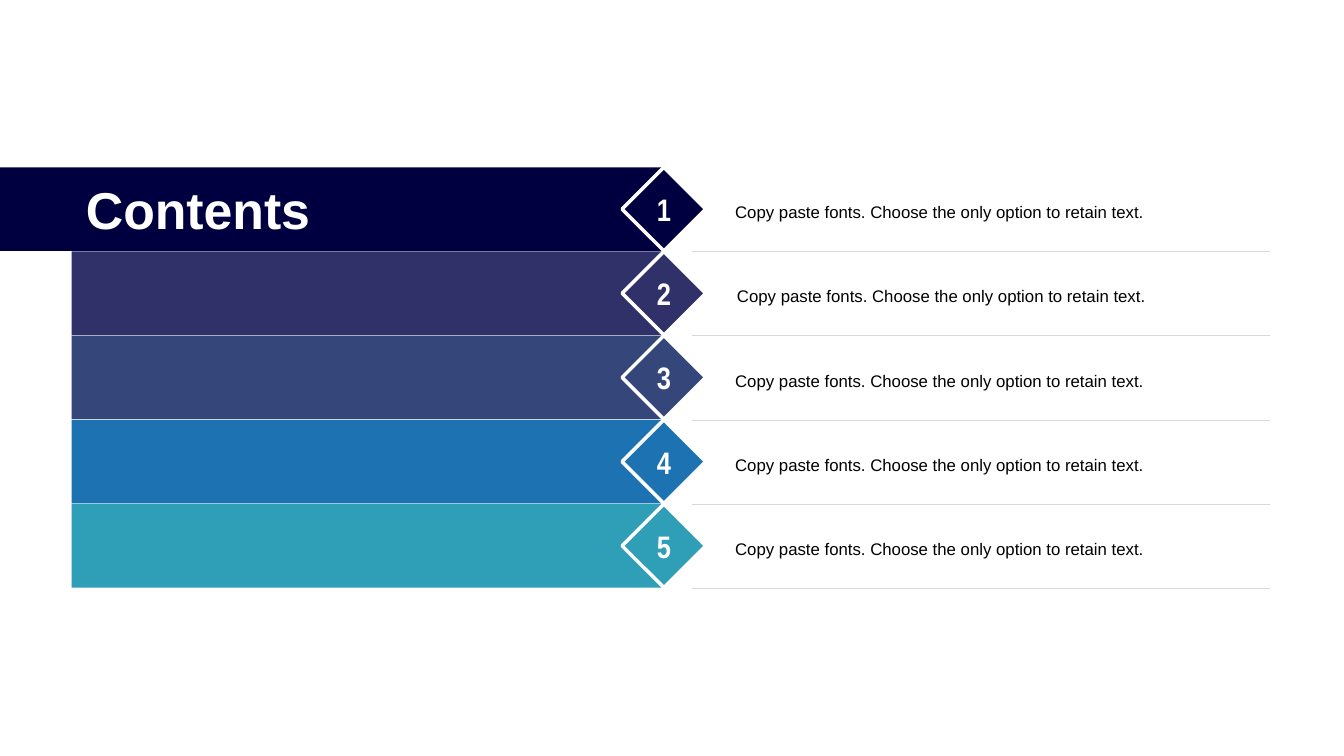
"""Build a contents slide with five numbered bars."""
from pptx import Presentation
from pptx.dml.color import RGBColor
from pptx.enum import shapes, text
from pptx.oxml import parse_xml
from pptx.oxml.ns import nsdecls
from pptx.util import Inches, Pt


def paint(form, fill, edge=None):
    form.shadow.inherit = False
    form.fill.solid()
    form.fill.fore_color.rgb = RGBColor.from_string(fill)
    if edge:
        form.line.color.rgb = RGBColor.from_string(edge)
        form.line.width = Pt(2.5)
    else:
        form.line.fill.background()


def write(form, words, face, size, color, bold=False, align="CENTER", space=1, left=0.1, right=0.1):
    frame = form.text_frame
    frame.text = words
    look = {"word_wrap": True, "auto_size": text.MSO_AUTO_SIZE.NONE,
            "vertical_anchor": text.MSO_ANCHOR.MIDDLE,
            "margin_left": Inches(left), "margin_right": Inches(right),
            "margin_top": 0, "margin_bottom": 0}
    for key, value in look.items():
        setattr(frame, key, value)
    line = frame.paragraphs[0]
    line.alignment = getattr(text.PP_ALIGN, align)
    line.line_spacing = space
    for key, value in {"name": face, "size": Pt(size), "bold": bold}.items():
        setattr(line.font, key, value)
    line.font.color.rgb = RGBColor.from_string(color)


deck = Presentation()
deck.slide_width, deck.slide_height = Inches(13.33), Inches(7.5)
slide = deck.slides.add_slide(deck.slide_layouts[5])
kinds = shapes.MSO_SHAPE

colors = ["000041", "303168", "35467A", "1D72B1", "2F9EB7"]
top, step, side = 1.66, 0.835, 0.83
rows = [(top + i * step, color) for i, color in enumerate(colors)]

for y, color in rows:
    x = 0 if y == top else 0.71
    bar = slide.shapes.add_shape(
        kinds.RECTANGLE, Inches(x), Inches(y), Inches(6.59 - x), Inches(side))
    paint(bar, color)

for num, (y, color) in reversed(list(enumerate(rows, 1))):
    gem = slide.shapes.add_shape(
        kinds.DIAMOND, Inches(6.17), Inches(y), Inches(side), Inches(side))
    paint(gem, color, "FFFFFF")
    write(gem, str(num), "Arial Narrow", 22.2, "FFFFFF", True, left=0, right=0)

right = {"align": "RIGHT", "space": 1.3, "right": 0.32}
left = {"align": "LEFT", "space": 1.2, "left": 0.3}
for (y, color), style in zip(rows, [right, left, right, right, right]):
    note = slide.shapes.add_shape(
        kinds.RECTANGLE, Inches(7.01), Inches(y + 0.09), Inches(4.66), Inches(0.65))
    paint(note, "FFFFFF")
    write(note, "Copy paste fonts. Choose the only option to retain text.",
          "Arial", 12, "000000", **style)

title = slide.shapes.title
place = {"left": 0.71, "top": top, "width": 2.51, "height": side}
for key, value in place.items():
    setattr(title, key, Inches(value))
write(title, "Contents", "Arial", 37, "FFFFFF", True)
note.element.addnext(title.element)

for y, color in rows:
    end = Inches(y + step)
    rule = slide.shapes.add_connector(
        shapes.MSO_CONNECTOR.STRAIGHT, Inches(6.86), end, Inches(12.6), end)
    rule.line.color.rgb = RGBColor.from_string("D9D9D9")
    rule.line.width = Pt(0.25)
    rule.element.spPr.append(parse_xml(f"<a:effectLst {nsdecls('a')}/>"))

deck.save("out.pptx")
